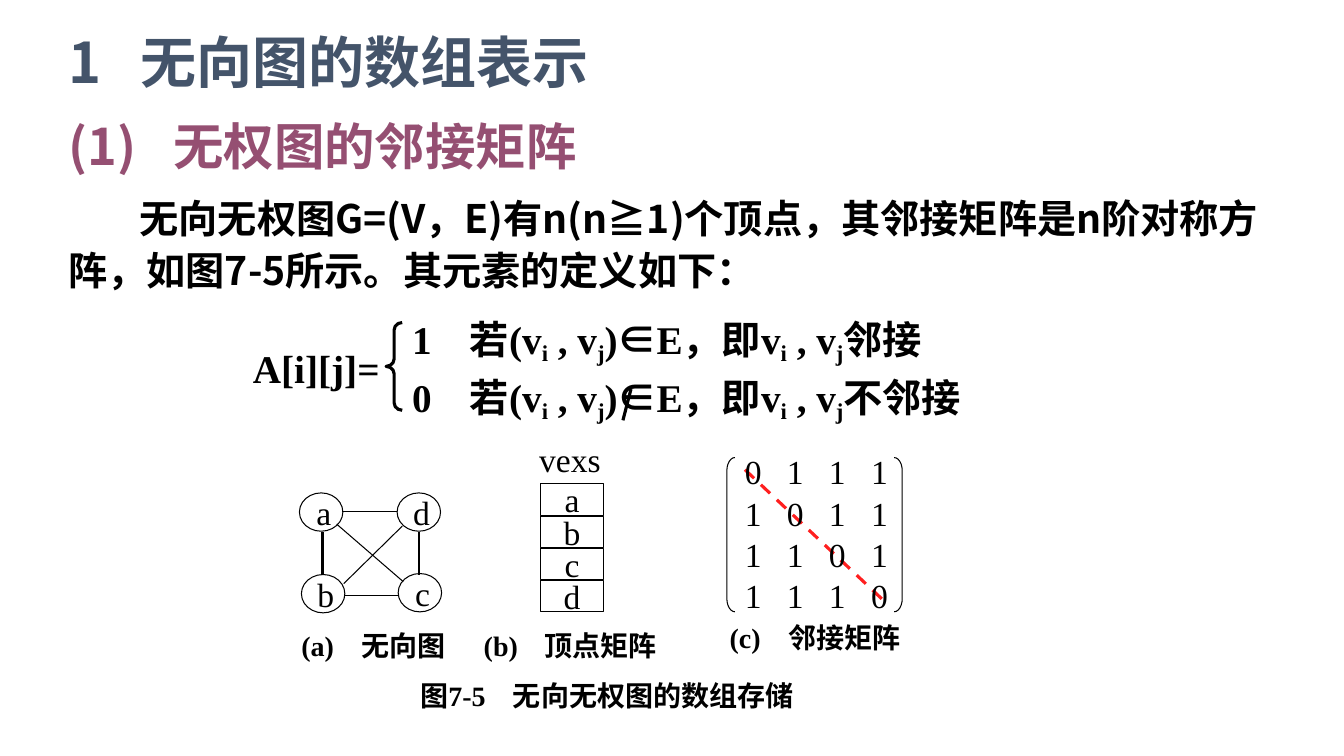
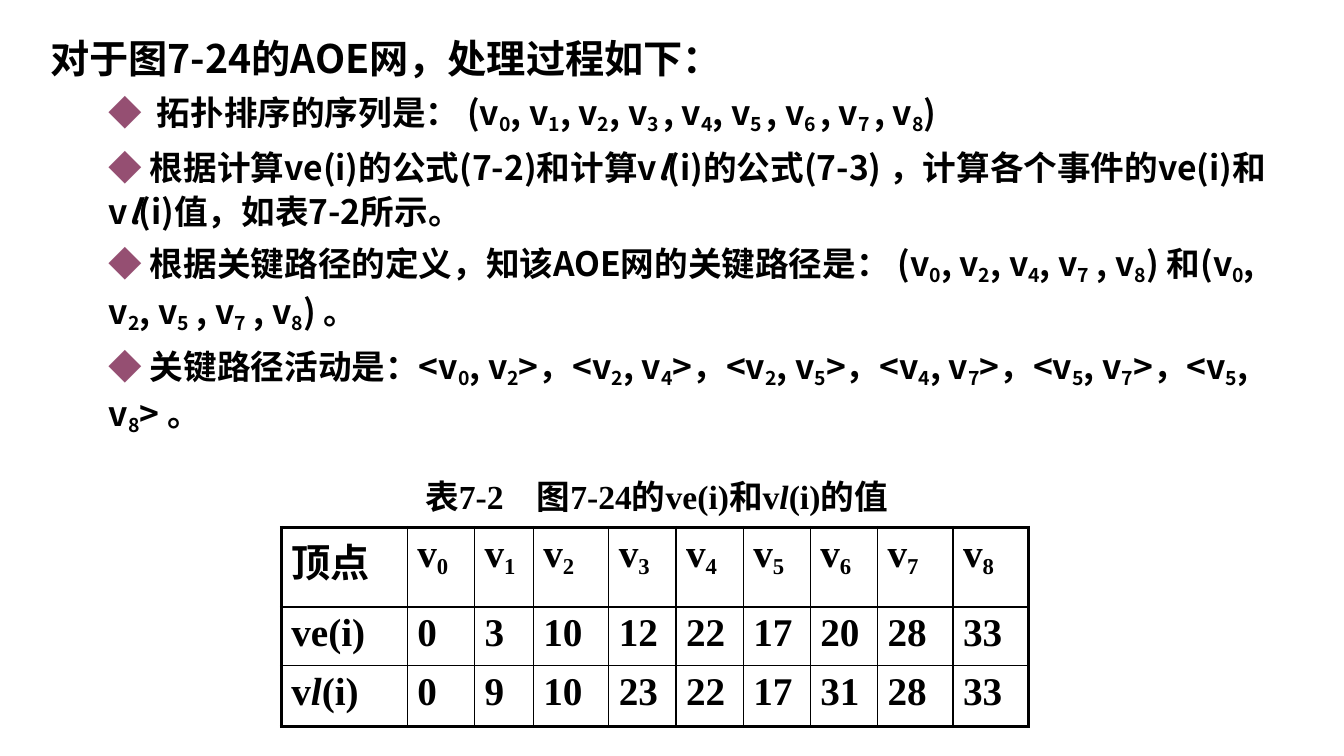
from lxml import etree
from pptx import Presentation
from pptx.dml.color import RGBColor
from pptx.enum.dml import MSO_LINE
from pptx.enum.shapes import MSO_CONNECTOR, MSO_SHAPE
from pptx.enum.text import MSO_ANCHOR, PP_ALIGN
from pptx.oxml.ns import qn
from pptx.util import Inches, Pt

STRAIGHT = MSO_CONNECTOR.STRAIGHT
DASH = MSO_LINE.DASH
RECT, OVAL = MSO_SHAPE.RECTANGLE, MSO_SHAPE.OVAL
BRACE = MSO_SHAPE.LEFT_BRACE
LEFT_BRACKET, RIGHT_BRACKET = MSO_SHAPE.LEFT_BRACKET, MSO_SHAPE.RIGHT_BRACKET
TOP, MIDDLE = MSO_ANCHOR.TOP, MSO_ANCHOR.MIDDLE
LEFT, CENTER = PP_ALIGN.LEFT, PP_ALIGN.CENTER

COLORS = {"title": "44546A", "accent": "954F72", "text": "000000", "diagonal": "FF1F1F"}
SANS, SERIF = "Noto Sans CJK SC", "Times New Roman"

prs = Presentation()
prs.slide_width, prs.slide_height = Inches(13.33), Inches(7.5)
COL, ROW = prs.slide_width / 100, prs.slide_height / 100
blank = prs.slide_layouts[6]


def write(p, text, size, font=SERIF, bold=True, color="text", tab=0):
    """Marks: ~subscript~, *italic*, ^ wide space, ◆ in the accent colour, ∈ in the sans font."""
    if tab:
        tabs = etree.SubElement(p._p.get_or_add_pPr(), qn("a:tabLst"))
        for i in range(text.count("\t")):
            etree.SubElement(tabs, qn("a:tab"), pos=str(int(COL * tab * (i + 1))), algn="l")
    for mark in "~*^◆∈":
        text = text.replace(mark, "|" + mark + "|")
    sub = italic = False
    for part in text.split("|"):
        if part == "~":
            sub = not sub
        elif part == "*":
            italic = not italic
        elif part:
            r = p.add_run()
            r.text = " " if part == "^" else part
            r.font.size, r.font.bold, r.font.italic = Pt(size), bold, italic
            r.font.color.rgb = RGBColor.from_string(COLORS["accent" if part == "◆" else color])
            r.font.name = SANS if part == "∈" else font
            rPr = r._r.get_or_add_rPr()
            etree.SubElement(rPr, qn("a:ea"), typeface=SANS)
            if sub:
                rPr.set("baseline", "-18000")
            if part == "^":
                rPr.set("spc", "500")


def place(s, x, y, w, h, kind=None, anchor=MIDDLE):
    box = [int(COL * x), int(ROW * y), int(COL * w), int(ROW * h)]
    if kind is None:
        sp = s.shapes.add_textbox(*box)
    else:
        sp = s.shapes.add_shape(kind, *box)
        sp.shadow.inherit = False
        sp.fill.background()
        sp.line.color.rgb = RGBColor.from_string(COLORS["text"])
        sp.line.width = Pt(0.75)
    sp.text_frame.word_wrap = True
    sp.text_frame.vertical_anchor = anchor
    return sp


bodies = [
    ((4.35, 2.13, 92.2, 37.3), [
        ("1\t无向图的数组表示", 40, "title", 0, 0, 0, 5.4),
        ("(1)\t无权图的邻接矩阵", 36, "accent", 10, 0, 0, 7.8),
        ("无向无权图G=(V，E)有n(n≧1)个顶点，其邻接矩阵是n阶对称方阵，如图7-5所示。其元素的定义如下：",
         28, "text", 10, 0, 5.3, 0),
    ]),
    ((3, 3.2, 93.47, 54.8), [
        ("对于图7-24的AOE网，处理过程如下：", 28, "text", 0, 0, 0, 0),
        *[(text, 24, "text", 5, 4.35, 0, 0) for text in (
            "◆^拓扑排序的序列是： (v~0~, v~1~, v~2~, v~3 ~, v~4~, v~5 ~, v~6 ~, v~7 ~, v~8~)",
            "◆ 根据计算ve(i)的公式(7-2)和计算v*l*(i)的公式(7-3) ，计算各个事件的ve(i)和v*l*(i)值，如表7-2所示。",
            "◆ 根据关键路径的定义，知该AOE网的关键路径是： (v~0~, v~2~, v~4~, v~7~ , v~8~) 和"
            "(v~0~, v~2~, v~5~ , v~7~ , v~8~) 。",
            "◆ 关键路径活动是：<v~0~, v~2~>，<v~2~, v~4~>，<v~2~, v~5~>，<v~4~, v~7~>，"
            "<v~5~, v~7~>，<v~5~, v~8~> 。",
        )],
    ]),
]
slides = []
for box, paragraphs in bodies:
    s = prs.slides.add_slide(blank)
    slides.append(s)
    tf = place(s, *box, anchor=TOP).text_frame
    for i, (text, size, color, before, left, indent, tab) in enumerate(paragraphs):
        p = tf.paragraphs[0] if i == 0 else tf.add_paragraph()
        if left or indent:
            pPr = p._p.get_or_add_pPr()
            pPr.set("marL", str(int(COL * left)))
            pPr.set("indent", str(int(COL * indent)))
        write(p, text, size, SANS, True, color, tab)
        p.line_spacing = 1.1
        if before:
            p.space_before = Pt(before)

graph, events = slides

for x1, y1, x2, y2, width, color in [
    (24, 70.4, 24, 76, 1.5, "text"),
    (31.2, 70.4, 31.2, 76, 1.5, "text"),
    (25.05, 69.33, 30, 76.93, 0.75, "text"),
    (25.43, 67.6, 29.55, 67.6, 0.75, "text"),
    (25.65, 78.8, 29.7, 78.8, 0.75, "text"),
    (25.58, 77.2, 29.93, 69.6, 0.75, "text"),
    (46.95, 51.47, 46.35, 55.6, 2.25, "text"),
    (55.43, 62.13, 66.08, 80, 2.25, "diagonal"),
]:
    line = graph.shapes.add_connector(
        STRAIGHT, int(COL * x1), int(ROW * y1), int(COL * x2), int(ROW * y2))
    line.line.color.rgb = RGBColor.from_string(COLORS[color])
    line.line.width = Pt(width)
    if color == "diagonal":
        line.line.dash_style = DASH
    etree.SubElement(line._element.spPr, qn("a:effectLst"))

labels = [
    (graph, 29.93, 41.6, 46, 6.8, "1\t若(v~i~ , v~j~)∈E，即v~i~ , v~j~邻接", 28, True, 4.3),
    (graph, 29.93, 49.33, 46, 6.8, "0\t若(v~i~ , v~j~)∈E，即v~i~ , v~j~不邻接", 28, True, 4.3),
    (graph, 18.08, 45.47, 11.25, 6.27, "A[i][j]=", 28, True, 0),
    (graph, 21.68, 83.07, 13.1, 4.67, "(a)\t无向图", 20, True, 4.5),
    (graph, 35.25, 83.07, 15, 4.67, "(b)\t顶点矩阵", 20, True, 4.55),
    (graph, 53.55, 82, 15, 4.67, "(c)\t邻接矩阵", 20, True, 4.4),
    (graph, 30.53, 89.6, 30, 4.67, "图7-5\t无向无权图的数组存储", 20, True, 6.9),
    (graph, 39.38, 58.4, 6.75, 4.67, "vexs", 24, False, 0),
    (events, 30.9, 62.4, 40, 6.53, "表7-2\t图7-24的ve(i)和v*l*(i)的值", 24, True, 8.3),
]
for i in range(4):
    digits = "\t".join("0" if i == j else "1" for j in range(4))
    labels.append((graph, 54.68, 60 + 5.47 * i, 13.1, 4.67, digits, 24, False, 3.13))
for s, x, y, w, h, text, size, bold, tab in labels:
    p = place(s, x, y, w, h).text_frame.paragraphs[0]
    p.alignment = LEFT
    write(p, text, size, bold=bold, tab=tab)

nodes = [(22.28, 65.2, "a"), (22.43, 76, "b"), (29.63, 75.87, "c"), (29.55, 65.2, "d")]
cells = [(x, y, 3.23, 5.07, OVAL, name, 0.4) for x, y, name in nodes]
cells += [(40.2, 64 + 4.27 * i, 4.73, 4.13, RECT, name, 0) for i, name in enumerate("abcd")]
for x, y, w, h, kind, name, inset in cells:
    tf = place(graph, x, y, w, h, kind).text_frame
    tf.margin_left = int(COL * inset)
    tf.margin_right = tf.margin_top = tf.margin_bottom = 0
    tf.paragraphs[0].alignment = CENTER
    write(tf.paragraphs[0], name, 24, bold=False)

for x, y, w, h, kind, bend, width in [
    (28.73, 42.67, 1.2, 11.6, BRACE, 0.46, 2.25),
    (54.08, 60.53, 0.6, 20.4, LEFT_BRACKET, 1.64, 0.75),
    (66.53, 60.53, 0.6, 20.4, RIGHT_BRACKET, 1.64, 0.75),
]:
    sp = place(graph, x, y, w, h, kind)
    sp.adjustments[0] = bend
    sp.line.width = Pt(width)

rows = [
    ["顶点"] + [f"v~{i}~" for i in range(9)],
    "ve(i) 0 3 10 12 22 17 20 28 33".split(),
    "v*l*(i) 0 9 10 23 22 17 31 28 33".split(),
]
widths = [15, 8, 7, 9, 8, 8, 8, 8, 9, 9]
heights = [9.5, 7, 7.2]
unit_x, unit_y = prs.slide_width / 160, prs.slide_height / 90
table = events.shapes.add_table(
    len(rows), len(widths), int(COL * 20.93), int(ROW * 69.73),
    int(unit_x * sum(widths)), int(unit_y * sum(heights))).table
table.first_row = table.horz_banding = False
for column, width in zip(table.columns, widths):
    column.width = int(unit_x * width)
for i, values in enumerate(rows):
    table.rows[i].height = int(unit_y * heights[i])
    for j, value in enumerate(values):
        cell = table.cell(i, j)
        cell.fill.background()
        write(cell.text_frame.paragraphs[0], value, 28)
        outer = {"lnL": j == 0, "lnR": j == len(widths) - 1, "lnT": i == 0, "lnB": i == len(rows) - 1}
        for k, (side, thick) in enumerate(outer.items()):
            ln = etree.Element(qn("a:" + side), w=str(Pt(2.25 if thick else 1)))
            fill = etree.SubElement(ln, qn("a:solidFill"))
            etree.SubElement(fill, qn("a:srgbClr"), val=COLORS["text"])
            cell._tc.get_or_add_tcPr().insert(k, ln)

prs.save("out.pptx")
